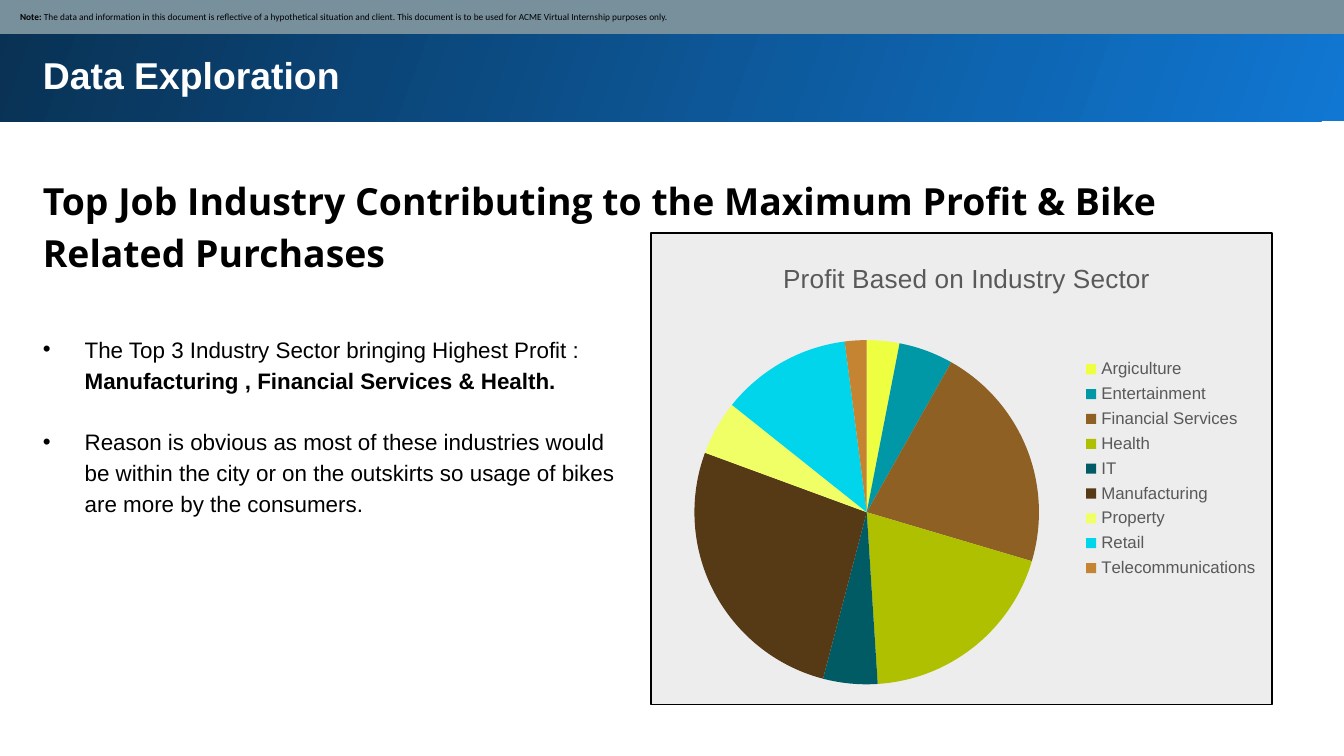
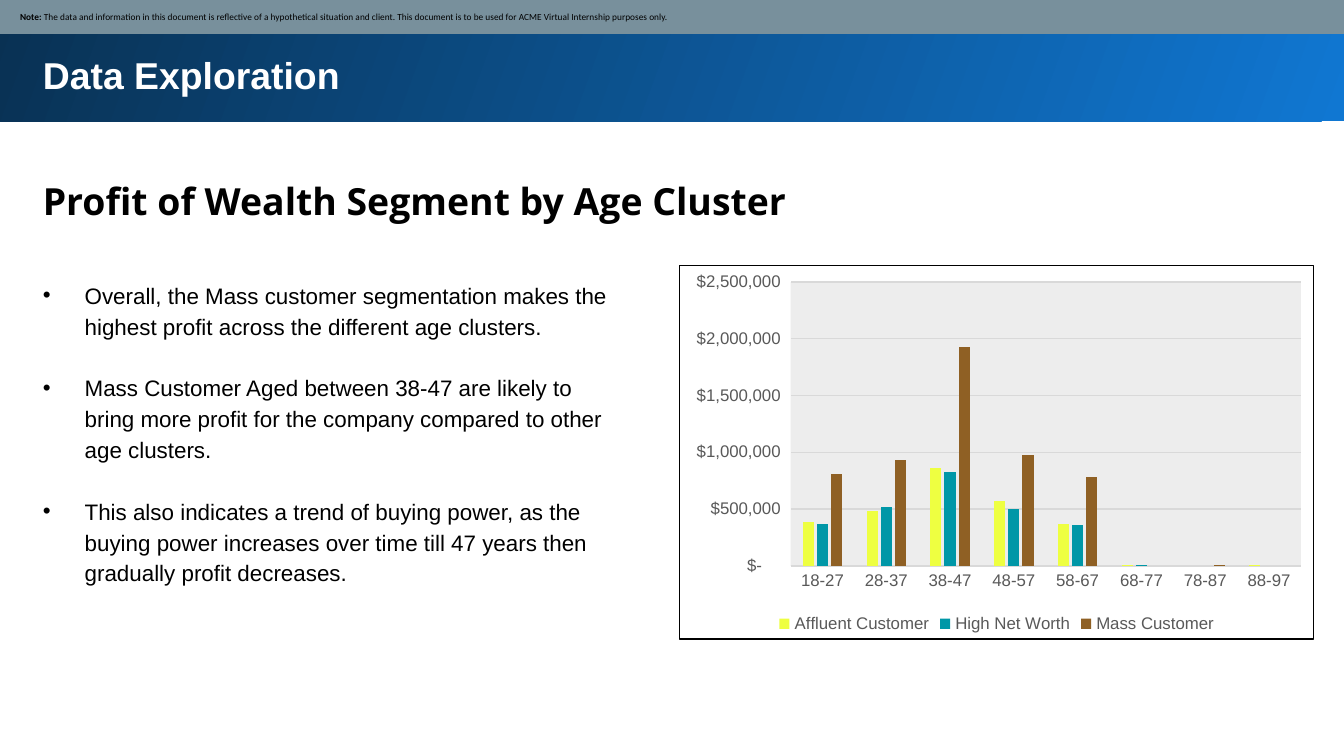
from dataclasses import dataclass

from lxml import etree
from pptx import Presentation
from pptx.chart.data import CategoryChartData
from pptx.dml.color import RGBColor
from pptx.enum.chart import XL_CHART_TYPE, XL_LEGEND_POSITION, XL_TICK_MARK
from pptx.enum.shapes import MSO_SHAPE
from pptx.enum.text import MSO_ANCHOR, MSO_AUTO_SIZE, PP_ALIGN
from pptx.oxml import parse_xml
from pptx.oxml.ns import nsdecls, qn
from pptx.util import Cm, Pt

PIE = XL_CHART_TYPE.PIE
COLUMNS = XL_CHART_TYPE.COLUMN_CLUSTERED
LEGEND_RIGHT = XL_LEGEND_POSITION.RIGHT
LEGEND_BOTTOM = XL_LEGEND_POSITION.BOTTOM
NO_TICK = XL_TICK_MARK.NONE
RECTANGLE = MSO_SHAPE.RECTANGLE
TOP, MIDDLE = MSO_ANCHOR.TOP, MSO_ANCHOR.MIDDLE
LEFT = PP_ALIGN.LEFT
GROW = MSO_AUTO_SIZE.SHAPE_TO_FIT_TEXT
NO_FIT = MSO_AUTO_SIZE.NONE

WIDTH, HEIGHT = 25.4, 14.29
TEXT_LEFT, TEXT_WIDTH, LIST_WIDTH = 0.56, 23.8, 11.48
TITLE_TOP, HEADING_TOP = 0.74, 3.0
INSET, INDENT = 0.25, 0.79
DOLLARS = ('_-[$$-409]* #,##0_ ;_-[$$-409]* \\-#,##0\\ ;'
           '_-[$$-409]* "-"??_ ;_-@_ ')


@dataclass(frozen=True)
class Theme:
    """Colours, fonts and type sizes of the presentation."""
    black: str = "000000"
    white: str = "FFFFFF"
    note_band: str = "78909C"
    band_bright: str = "1077D2"
    band_dark: str = "093153"
    panel: str = "EDEDED"
    chart_text: str = "595959"
    grid: str = "D9D9D9"
    palette: tuple = ("EEFF41", "0097A7", "8F6024", "AFC000", "005B64",
                      "563A16", "F1FF67", "00D5EC", "C48431")
    text_font: str = "Arial"
    heading_font: str = "Open Sans"
    note_font: str = "Calibri"
    title_size: float = 20
    list_size: float = 12
    chart_title_size: float = 14
    chart_size: float = 10
    label_size: float = 9
    note_size: float = 5
    line_spacing: float = 1.15
    list_gap: float = 16.5
    border: float = 0.75


def style_font(font, size, color, name, bold=False):
    """Format a font."""
    font.size = Pt(size)
    font.color.rgb = RGBColor.from_string(color)
    font.name = name
    font.bold = bold


def write(frame, paragraphs, size, color, font, anchor=TOP, inset=INSET,
          fit=GROW, line_spacing=None, gap=0, bullets=False):
    """Fill a text frame; each paragraph is a list of (text, bold) runs."""
    frame.word_wrap = True
    frame.auto_size = fit
    frame.vertical_anchor = anchor
    frame.margin_left = frame.margin_right = Cm(inset)
    frame.margin_top = frame.margin_bottom = Cm(inset)
    for index, runs in enumerate(paragraphs):
        paragraph = frame.add_paragraph() if index else frame.paragraphs[0]
        paragraph.alignment = LEFT
        paragraph.line_spacing = line_spacing
        paragraph.space_before = Pt(gap if index else 0)
        for text, bold in runs:
            run = paragraph.add_run()
            run.text = text
            style_font(run.font, size, color, font, bold)
        if bullets:
            add_bullet(paragraph)


def add_bullet(paragraph):
    """Give a paragraph a round bullet and a hanging indent."""
    properties = paragraph._p.get_or_add_pPr()
    properties.set("marL", str(Cm(INDENT)))
    properties.set("indent", str(-Cm(INDENT)))
    etree.SubElement(properties, qn("a:buChar")).set("char", "•")


def place(shape, left, top, width, height):
    """Move and size a shape, in centimetres."""
    shape.left, shape.top = Cm(left), Cm(top)
    shape.width, shape.height = Cm(width), Cm(height)


def area_format(fill, line=None, width=0):
    """Return chart shape properties with a solid fill and optional line."""
    outline = "<a:ln><a:noFill/></a:ln>"
    if line:
        outline = (f'<a:ln w="{Pt(width)}"><a:solidFill><a:srgbClr '
                   f'val="{line}"/></a:solidFill></a:ln>')
    return parse_xml(
        f'<c:spPr {nsdecls("c", "a")}><a:solidFill><a:srgbClr val="{fill}"/>'
        f'</a:solidFill>{outline}</c:spPr>')


def set_layout(parent, index, inner=False, **fractions):
    """Fix a chart part at fractions (x, y, w, h) of the chart area."""
    for layout in parent.findall(qn("c:layout")):
        parent.remove(layout)
    layout = etree.Element(qn("c:layout"))
    manual = etree.SubElement(layout, qn("c:manualLayout"))
    settings = {"layoutTarget": "inner"} if inner else {}
    settings.update(xMode="edge", yMode="edge", **fractions)
    for name, value in settings.items():
        etree.SubElement(manual, qn("c:" + name)).set("val", str(value))
    parent.insert(index, layout)


class Deck:
    """Holds the theme, the presentation and the current slide."""

    def __init__(self, theme):
        """Start an empty widescreen presentation."""
        self.theme = theme
        self.presentation = Presentation()
        self.presentation.slide_width = Cm(WIDTH)
        self.presentation.slide_height = Cm(HEIGHT)
        self.slide = None

    def add_slide(self, title):
        """Add a slide with the shared bands and title."""
        theme = self.theme
        layout = self.presentation.slide_layouts[1]
        self.slide = self.presentation.slides.add_slide(layout)
        self.add_note_band()
        self.add_title_band()
        shape = self.slide.shapes.title
        place(shape, TEXT_LEFT, TITLE_TOP, TEXT_WIDTH, 1.37)
        write(shape.text_frame, [[(title, True)]], theme.title_size,
              theme.white, theme.text_font)

    def add_band(self, height):
        """Add a full-width rectangle behind everything else."""
        shape = self.slide.shapes.add_shape(
            RECTANGLE, 0, 0, Cm(WIDTH), Cm(height))
        shape.shadow.inherit = False
        shape.line.fill.background()
        self.slide.shapes._spTree.insert(2, shape._element)
        return shape

    def add_title_band(self):
        """Add the gradient band behind the title."""
        fill = self.add_band(2.29).fill
        fill.gradient()
        fill.gradient_angle = 160
        colors = (self.theme.band_bright, self.theme.band_dark)
        for stop, color in zip(fill.gradient_stops, colors):
            stop.color.rgb = RGBColor.from_string(color)

    def add_note_band(self):
        """Add the band with the disclaimer."""
        theme = self.theme
        shape = self.add_band(0.64)
        shape.fill.solid()
        shape.fill.fore_color.rgb = RGBColor.from_string(theme.note_band)
        note = ("The data and information in this document is reflective of a "
                "hypothetical situation and client. This document is to be "
                "used for ACME Virtual Internship purposes only.")
        write(shape.text_frame, [[("Note: ", True), (note, False)]],
              theme.note_size, theme.black, theme.note_font,
              anchor=MIDDLE, inset=0.13, fit=NO_FIT)
        shape.text_frame.margin_left = Cm(0.38)

    def add_heading(self, text, height):
        """Add the heading under the title band."""
        theme = self.theme
        shape = self.slide.shapes.add_textbox(
            Cm(TEXT_LEFT), Cm(HEADING_TOP), Cm(TEXT_WIDTH), Cm(height))
        write(shape.text_frame, [[(text, True)]], theme.title_size,
              theme.black, theme.heading_font,
              line_spacing=theme.line_spacing)

    def add_list(self, items, top, height):
        """Fill the body placeholder with bullets."""
        theme = self.theme
        shape = self.slide.placeholders[1]
        place(shape, TEXT_LEFT, top, LIST_WIDTH, height)
        write(shape.text_frame, items, theme.list_size, theme.black,
              theme.text_font, line_spacing=theme.line_spacing,
              gap=theme.list_gap, bullets=True)

    def add_chart(self, kind, categories, series, box, plot, fill, legend):
        """Add a framed chart with a legend and a fixed plot area."""
        theme = self.theme
        data = CategoryChartData()
        data.categories = categories
        for name, values in series.items():
            data.add_series(name, values)
        chart = self.slide.shapes.add_chart(
            kind, *(Cm(length) for length in box), data).chart
        style_font(chart.font, theme.chart_size, theme.black, theme.text_font)
        chart.has_title = False
        chart.has_legend = True
        chart.legend.position = legend
        chart.legend.include_in_layout = False
        self.style_label(chart.legend.font)
        chart._chartSpace.chart.addnext(
            area_format(fill, theme.black, theme.border))
        set_layout(chart._chartSpace.chart.plotArea, 0, inner=True,
                   **dict(zip("xywh", plot)))
        return chart

    def style_label(self, font):
        """Format a legend or axis font."""
        style_font(font, self.theme.label_size, self.theme.chart_text,
                   self.theme.text_font)

    def add_pie(self, title, categories, values, box):
        """Add a pie chart with a title and one colour per slice."""
        theme = self.theme
        chart = self.add_chart(PIE, categories, {"Series 1": values}, box,
                               (0.07, 0.226, 0.555, 0.733), theme.panel,
                               LEGEND_RIGHT)
        chart.has_title = True
        paragraph = chart.chart_title.text_frame.paragraphs[0]
        run = paragraph.add_run()
        run.text = title
        style_font(run.font, theme.chart_title_size, theme.chart_text,
                   theme.text_font)
        set_layout(chart.chart_title._element, 1, x=0.205, y=0.05)
        slices = chart.plots[0].series[0].points
        for index, color in enumerate(theme.palette):
            slice_fill = slices[index].format.fill
            slice_fill.solid()
            slice_fill.fore_color.rgb = RGBColor.from_string(color)

    def add_columns(self, categories, series, box):
        """Add a clustered column chart with a dollar axis."""
        theme = self.theme
        chart = self.add_chart(COLUMNS, categories, series, box,
                               (0.175, 0.045, 0.805, 0.76), theme.white,
                               LEGEND_BOTTOM)
        plot = chart.plots[0]
        plot.gap_width, plot.overlap = 219, -27
        plot.vary_by_categories = False
        for column, color in zip(plot.series, theme.palette):
            column.format.fill.solid()
            column.format.fill.fore_color.rgb = RGBColor.from_string(color)
        for axis in (chart.category_axis, chart.value_axis):
            axis.major_tick_mark = axis.minor_tick_mark = NO_TICK
            self.style_label(axis.tick_labels.font)
        values = chart.value_axis
        values.minimum_scale, values.maximum_scale = 0, 2500000
        values.major_unit = 500000
        values.tick_labels.number_format = DOLLARS
        values.tick_labels.number_format_is_linked = False
        values.format.line.fill.background()
        for line in (chart.category_axis.format.line,
                     values.major_gridlines.format.line):
            line.color.rgb = RGBColor.from_string(theme.grid)
            line.width = Pt(theme.border)
        chart._chartSpace.chart.plotArea.append(area_format(theme.panel))


deck = Deck(Theme())

deck.add_slide("Data Exploration")
deck.add_heading("Top Job Industry Contributing to the Maximum Profit & Bike "
                 "Related Purchases", 2.41)
deck.add_list([
    [("The Top 3 Industry Sector bringing Highest Profit : ", False),
     ("Manufacturing , Financial Services & Health.", True)],
    [("Reason is obvious as most of these industries would be within the city "
      "or on the outskirts so usage of bikes are more by the consumers.",
      False)]], 6.02, 5.46)
deck.add_pie("Profit Based on Industry Sector",
             ["Argiculture", "Entertainment", "Financial Services", "Health",
              "IT", "Manufacturing", "Property", "Retail",
              "Telecommunications"],
             [3, 5, 21, 19, 5, 26, 5, 12, 2], (12.29, 4.39, 11.76, 8.94))

deck.add_slide("Data Exploration")
deck.add_heading("Profit of Wealth Segment by Age Cluster", 1.42)
deck.add_list([[(text, False)] for text in (
    "Overall, the Mass customer segmentation makes the highest profit across "
    "the different age clusters.",
    "Mass Customer Aged between 38-47 are likely to bring more profit for the "
    "company compared to other age clusters.",
    "This also indicates a trend of buying power, as the buying power "
    "increases over time till 47 years then gradually profit decreases.",
)], 5.0, 6.35)
deck.add_columns(
    [f"{age}-{age + 9}" for age in range(18, 89, 10)],
    {"Affluent Customer": [390000, 480000, 860000, 570000, 370000, 10000,
                           None, 10000],
     "High Net Worth": [370000, 520000, 830000, 500000, 360000, 10000,
                        None, None],
     "Mass Customer": [810000, 930000, 1930000, 980000, 780000, None,
                       10000, None]}, (12.83, 5.0, 12.01, 7.09))

deck.presentation.save("out.pptx")
